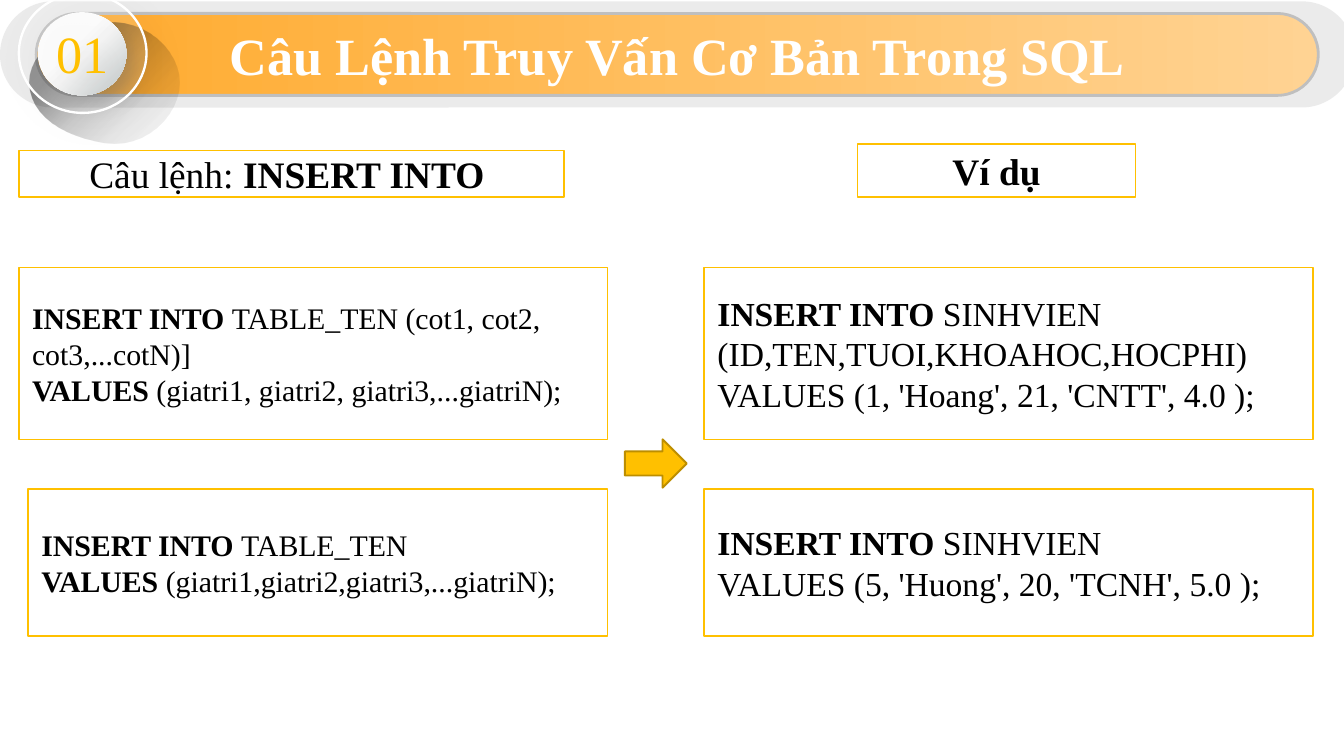
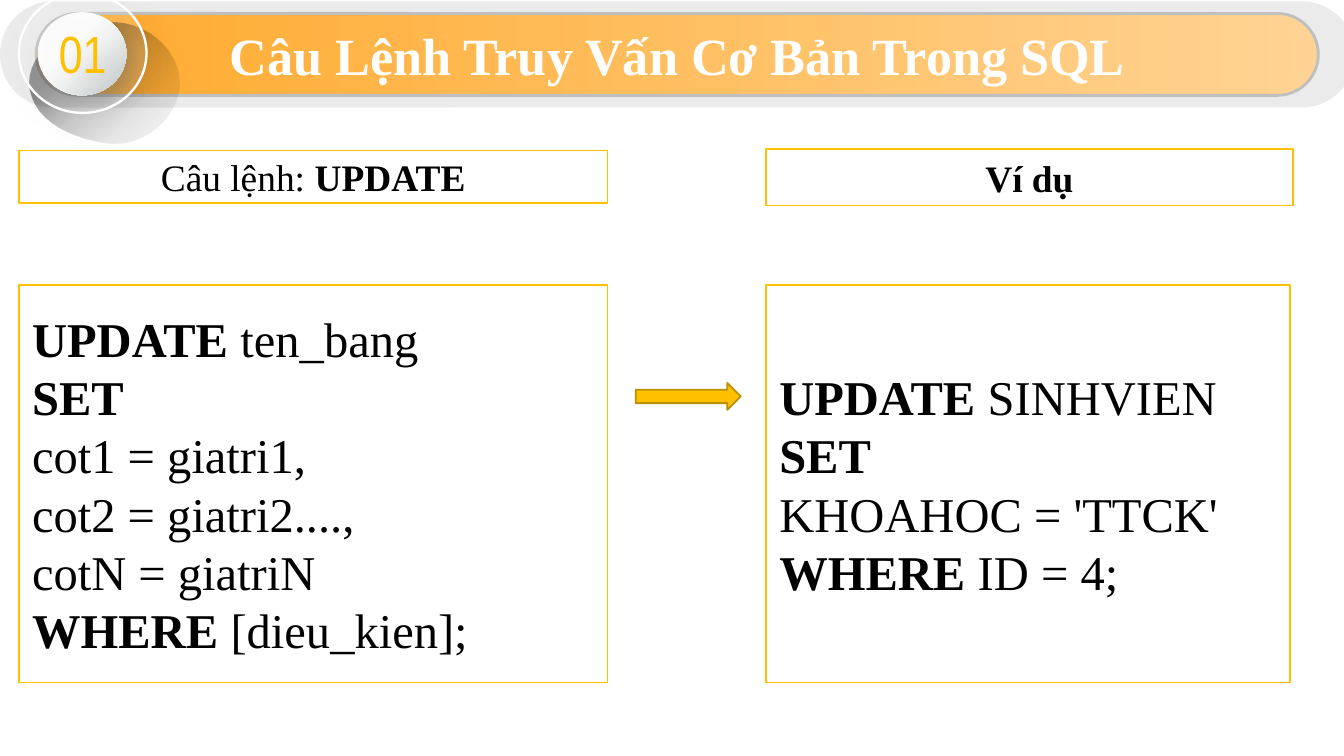
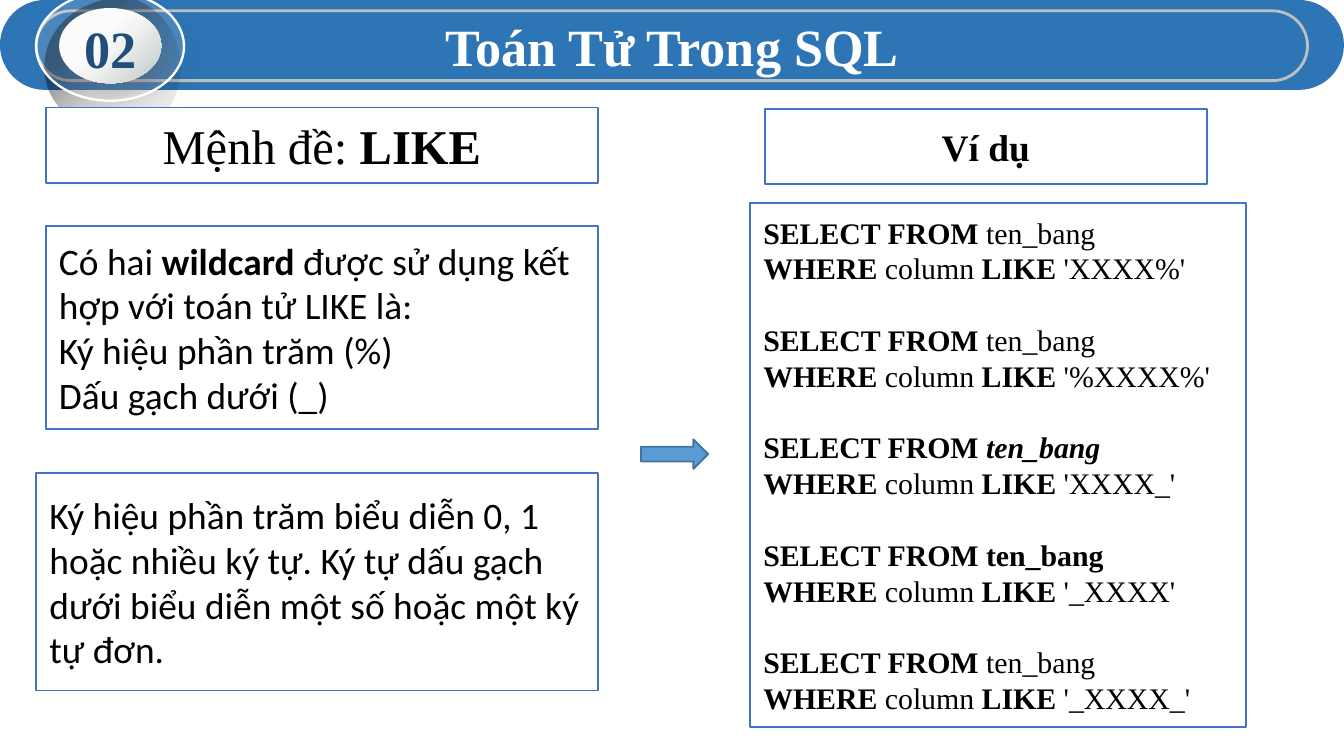
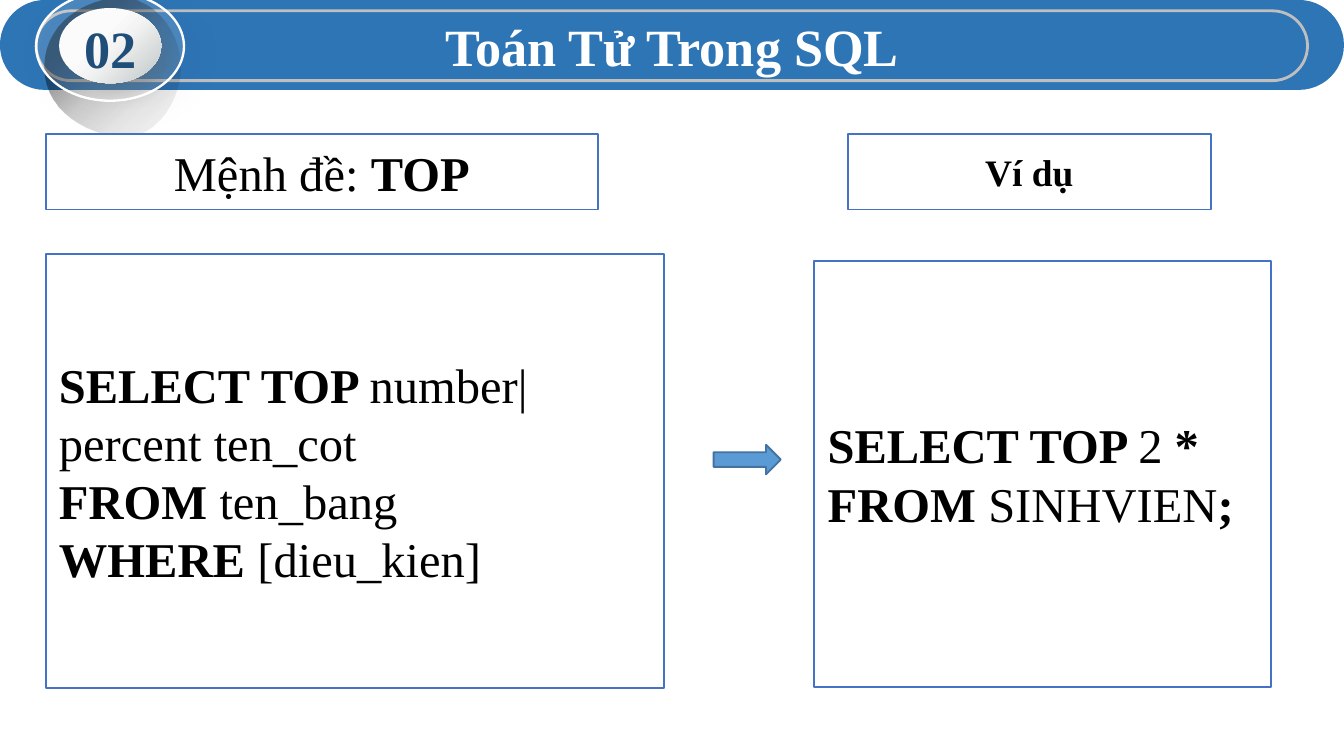
from lxml.etree import SubElement as Sub
from pptx import Presentation
from pptx.dml.color import RGBColor
from pptx.enum.shapes import MSO_SHAPE as Kind
from pptx.enum.text import MSO_ANCHOR as Anchor, PP_ALIGN as Align
from pptx.oxml.ns import qn
from pptx.util import Pt

SERIF, SANS, NARROW = "Times New Roman", "Calibri", "Arial Narrow"
WHITE, BLACK, RIM = "FFFFFF", "000000", "BFBFBF"

# Gradient stops: position, colour, opacity (percent)
FADE = [(0, BLACK, 100), (17, BLACK, 46), (34, BLACK, 43), (51, BLACK, 20),
        (65, BLACK, 10), (78, BLACK, 5), (100, BLACK, 0)]
DISC = [(0, WHITE, 100), (43, "F7F7F7", 100), (100, "B8C0C0", 100)]
BALL = [(11, WHITE, 100), (39, WHITE, 100), (53, "F7F7F7", 100), (100, "B8C0C0", 100)]

GOLD = {
    "edge": "FFC000", "arrow": ("FFC000", "BD8E00"),
    "title": "Câu Lệnh Truy Vấn Cơ Bản Trong SQL",
    "band": (0, 0.7, 725.8, 56.9), "tint": ("D9D9D9", 50),
    "pill": (19.4, 7.2, 686.9, 43.9),
    "glow": [(0, "FFAA2D", 100), (100, "FFD393", 100)],
    "disc": (25.9, 12.2, 39.6, 37.4), "ball": (20.2, 6.5, 47.5, 44.6),
    "ring": (10.1, -3.6, 68.4, 64.1),
    "start": (33.8, 66.2),
    "curves": [((20.9, 48.2), (15.8, 28.1), (28.1, 15.1)),
               ((40.3, 2.9), (61.9, 7.9), (79.2, 20.9)),
               ((96.5, 34.6), (97.2, 59.8), (85, 72)),
               ((72.7, 84.2), (46.8, 84.2), (33.8, 66.2))],
}
BLUE = {
    "edge": "4472C4", "arrow": ("5B9BD5", "43739E"),
    "title": "Toán Tử Trong SQL",
    "band": (0, 0, 720, 48.2), "tint": ("2E75B6", 100),
    "pill": (19.4, 5.8, 681.1, 37.4), "glow": None,
    "disc": (38.2, 10.1, 46.1, 33.8), "ball": (31.7, 4.3, 54.7, 40.3),
    "ring": (19.4, -4.3, 79.2, 58.3),
    "start": (34.6, 61.2),
    "curves": [((23.8, 43.9), (20.9, 23.8), (35.3, 9.4)),
               ((49.7, -5), (70.6, -2.9), (86.4, 8.6)),
               ((103, 20.2), (100.8, 46.1), (86.4, 60.5)),
               ((72, 74.9), (45.4, 78.5), (34.6, 61.2))],
}


def rgb(code):
    return RGBColor.from_string(code)


def tag(node, name, **attrs):
    return Sub(node, qn("a:" + name), {k: str(v) for k, v in attrs.items()})


def tone(node, code, part):
    """Add a colour with its opacity in percent."""
    tag(tag(node, "srgbClr", val=code), "alpha", val=part * 1000)


def paint(shape, fill, part=100, line=None, width=1):
    shape.shadow.inherit = False
    shape.fill.solid()
    shape.fill.fore_color.rgb = rgb(fill)
    if part < 100:
        tag(shape._element.spPr.find(".//" + qn("a:srgbClr")), "alpha", val=part * 1000)
    if line:
        shape.line.color.rgb = rgb(line)
        shape.line.width = Pt(width)
    else:
        shape.line.fill.background()


def blend(shape, stops, angle):
    """Replace the fill by a linear gradient."""
    shape.fill.gradient()
    grad = shape._element.spPr.find(qn("a:gradFill"))
    steps = grad.find(qn("a:gsLst"))
    for old in list(steps):
        steps.remove(old)
    for pos, code, part in stops:
        tone(tag(steps, "gs", pos=pos * 1000), code, part)
    grad.find(qn("a:lin")).set("ang", str(angle * 60000))


def shade(shape, code, part, blur, dist):
    """Cast a soft shadow to the lower right."""
    effects = shape._element.spPr.find(qn("a:effectLst"))
    cast = tag(effects, "outerShdw", blurRad=Pt(blur), dist=Pt(dist),
               dir=45 * 60000, algn="tl", rotWithShape=0)
    tone(cast, code, part)


def draw(shapes, kind, rect, fill, **look):
    shape = shapes.add_shape(kind, *map(Pt, rect))
    paint(shape, fill, **look)
    return shape


def write(shape, text, size, align=Align.LEFT, anchor=Anchor.MIDDLE,
          font=SERIF, color=BLACK):
    """Fill in text: ~ turns bold on and off, ^ starts an italic part,
    an empty line sets a gap before the next paragraph."""
    frame = shape.text_frame
    frame.word_wrap = True
    frame.vertical_anchor = anchor
    first = True
    for block in text.split("\n\n"):
        for row, line in enumerate(block.split("\n")):
            para = frame.paragraphs[0] if first else frame.add_paragraph()
            para.alignment = align
            if row == 0 and not first:
                para.space_before = Pt(size * 1.2)
            first = False
            for num, part in enumerate(line.split("~")):
                if not part:
                    continue
                run = para.add_run()
                run.text = part.lstrip("^")
                look = {"name": font, "size": Pt(size), "bold": num % 2 == 1,
                        "italic": part.startswith("^")}
                for key, value in look.items():
                    setattr(run.font, key, value)
                run.font.color.rgb = rgb(color)


def trace(start, curves, steps=12):
    """Give points along a chain of cubic curves."""
    for a, b, end in curves:
        for step in range(1, steps + 1):
            t = step / steps
            u = 1 - t
            yield tuple(Pt(u**3 * p + 3 * u * u * t * q + 3 * u * t * t * r + t**3 * s)
                        for p, q, r, s in zip(start, a, b, end))
        start = end


def badge(slide, theme, label, font):
    """Draw the numbered ball at the left end of the band."""
    group = slide.shapes.add_group_shape().shapes
    x, y = theme["start"]
    pen = group.build_freeform(Pt(x), Pt(y), scale=1)
    pen.add_line_segments(list(trace(theme["start"], theme["curves"])), close=True)
    blot = pen.convert_to_shape()
    paint(blot, BLACK)
    blend(blot, FADE, 90)
    blot.rotation = 315
    disc = draw(group, Kind.OVAL, theme["disc"], WHITE)
    blend(disc, DISC, 45)
    shade(disc, "494949", 30, 11, 7)
    blend(draw(group, Kind.OVAL, theme["ball"], WHITE), BALL, 45)
    ring = draw(group, Kind.OVAL, theme["ring"], WHITE, part=14, line=WHITE, width=1.25)
    shade(ring, BLACK, 11, 17, 7)
    if theme is GOLD:
        write(ring, label, 28, Align.CENTER, font=font, color="FFC000")
    else:
        box = group.add_textbox(*map(Pt, (38.2, 5, 45.4, 31)))
        write(box, f"~{label}~", 28, anchor=Anchor.TOP, font=font, color="1F4E79")


def banner(slide, theme, label, font=SERIF):
    group = slide.shapes.add_group_shape().shapes
    tint, part = theme["tint"]
    band = draw(group, Kind.ROUNDED_RECTANGLE, theme["band"], tint, part=part)
    pill = draw(group, Kind.ROUNDED_RECTANGLE, theme["pill"], tint, line=RIM, width=1.5)
    for bar in (band, pill):
        bar.adjustments[0] = 0.5
    if theme["glow"]:
        blend(pill, theme["glow"], 0)
    write(pill, f"~{theme['title']}~", 28, Align.CENTER, color=WHITE)
    badge(slide, theme, label, font)


def panel(slide, theme, rect, text, size, align=Align.LEFT, font=SERIF):
    box = draw(slide.shapes, Kind.RECTANGLE, rect, WHITE, line=theme["edge"])
    write(box, text, size, align, font=font)


def heads(slide, theme, left, text, size, right):
    panel(slide, theme, left, text, size, Align.CENTER)
    panel(slide, theme, right, "~Ví dụ~", 20, Align.CENTER)


def arrow(slide, theme, rect):
    fill, line = theme["arrow"]
    draw(slide.shapes, Kind.RIGHT_ARROW, rect, fill, line=line)


def insert(slide):
    banner(slide, GOLD, "01")
    heads(slide, GOLD, (10.1, 80.6, 292.3, 25.2), "Câu lệnh: ~INSERT INTO ~", 20,
          (459.4, 77, 149, 28.8))
    arrow(slide, GOLD, (334.8, 235.4, 33.1, 25.9))
    rows = [
        (143.3, 92.2, 10.1,
         "~INSERT INTO ~TABLE_TEN (cot1, cot2, cot3,...cotN)]\n"
         "~VALUES~ (giatri1, giatri2, giatri3,...giatriN);",
         "~INSERT INTO ~SINHVIEN (ID,TEN,TUOI,KHOAHOC,HOCPHI)\n"
         "VALUES (1, 'Hoang', 21, 'CNTT', 4.0 );"),
        (262.1, 78.5, 15.1,
         "~INSERT INTO ~TABLE_TEN\n"
         "~VALUES~ (giatri1,giatri2,giatri3,...giatriN);",
         "~INSERT INTO ~SINHVIEN\n"
         "VALUES (5, 'Huong', 20, 'TCNH', 5.0 );"),
    ]
    for top, high, left, form, sample in rows:
        panel(slide, GOLD, (left, top, 325.5 - left, high), form, 16)
        panel(slide, GOLD, (377.3, top, 326.2, high), sample, 18)


def update(slide):
    banner(slide, GOLD, "01", NARROW)
    heads(slide, GOLD, (10.1, 80.6, 315.4, 28.1), "Câu lệnh: ~UPDATE~", 20,
          (410.4, 79.9, 282.2, 30.2))
    arrow(slide, GOLD, (340.6, 205.2, 56.2, 14.4))
    panel(slide, GOLD, (10.1, 152.6, 315.4, 213.1),
          "~UPDATE~ ten_bang\n~SET~\ncot1 = giatri1,\ncot2 = giatri2....,\n"
          "cotN = giatriN\n~WHERE~ [dieu_kien];", 26)
    panel(slide, GOLD, (410.4, 152.6, 280.8, 213.1),
          "~UPDATE~ SINHVIEN\n~SET~\nKHOAHOC = 'TTCK'\n~WHERE~ ID = 4;", 26)


def like(slide):
    banner(slide, BLUE, "02")
    heads(slide, BLUE, (24.5, 57.6, 295.9, 40.3), "Mệnh đề: ~LIKE~", 26,
          (409.7, 58.3, 236.9, 40.3))
    panel(slide, BLUE, (24.5, 121, 295.9, 108.7),
          "Có hai ~wildcard~ được sử dụng kết hợp với toán tử LIKE là:\n"
          "Ký hiệu phần trăm (%)\nDấu gạch dưới (_)", 20, font=SANS)
    panel(slide, BLUE, (19.4, 253.4, 301, 116.6),
          "Ký hiệu phần trăm biểu diễn 0, 1 hoặc nhiều ký tự. Ký tự dấu gạch dưới "
          "biểu diễn một số hoặc một ký tự đơn.", 20, font=SANS)
    cases = [("ten_bang", "XXXX%"), ("ten_bang", "%XXXX%"), ("~^ten_bang~", "XXXX_"),
             ("~ten_bang~", "_XXXX"), ("ten_bang", "_XXXX_")]
    text = "\n\n".join(f"~SELECT FROM ~{name}\n~WHERE ~column~ LIKE ~'{mask}'"
                       for name, mask in cases)
    panel(slide, BLUE, (401.8, 108.7, 265.7, 280.8), text, 16)
    arrow(slide, BLUE, (343.4, 235.4, 36, 15.8))


def top(slide):
    banner(slide, BLUE, "02")
    heads(slide, BLUE, (24.5, 72, 295.9, 40.3), "Mệnh đề: ~TOP~", 26,
          (454.3, 72, 194.4, 40.3))
    panel(slide, BLUE, (24.5, 136.1, 331.2, 232.6),
          "~SELECT TOP ~number|percent ten_cot\n~FROM ~ten_bang\n"
          "~WHERE ~[dieu_kien]", 26)
    panel(slide, BLUE, (436.3, 139.7, 244.8, 228.2),
          "~SELECT TOP ~2~ *~\n~FROM ~SINHVIEN~;~", 26)
    arrow(slide, BLUE, (382.3, 238.3, 36, 15.8))


def main():
    deck = Presentation()
    deck.slide_width, deck.slide_height = Pt(720), Pt(405)
    for build in (insert, update, like, top):
        build(deck.slides.add_slide(deck.slide_layouts[6]))
    deck.save("out.pptx")


if __name__ == "__main__":
    main()
